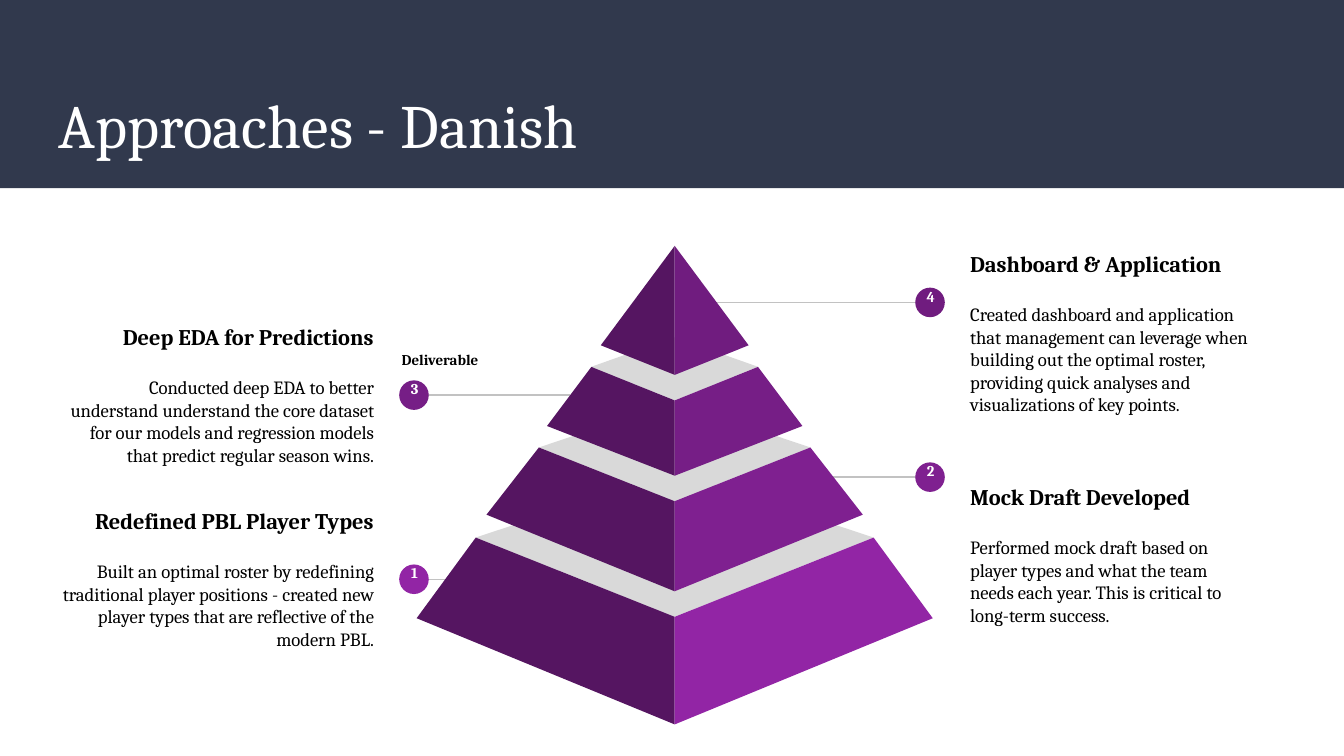
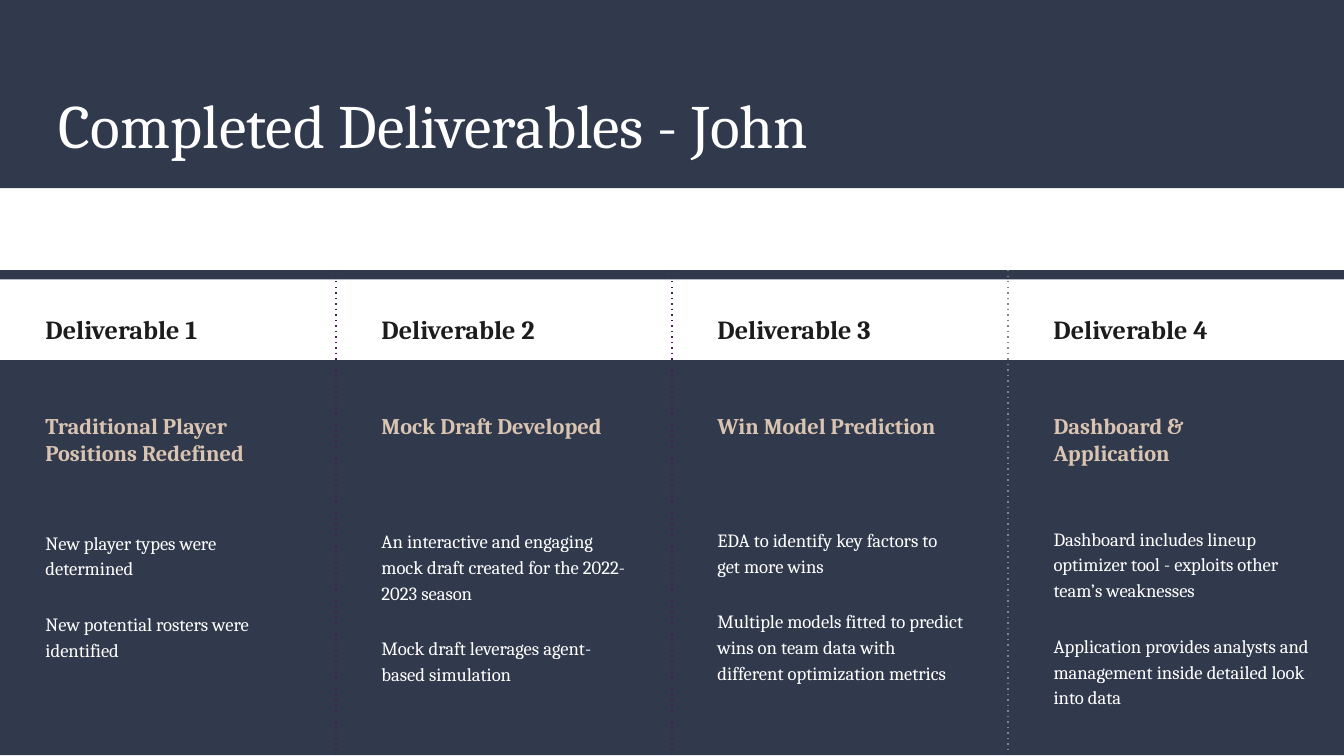
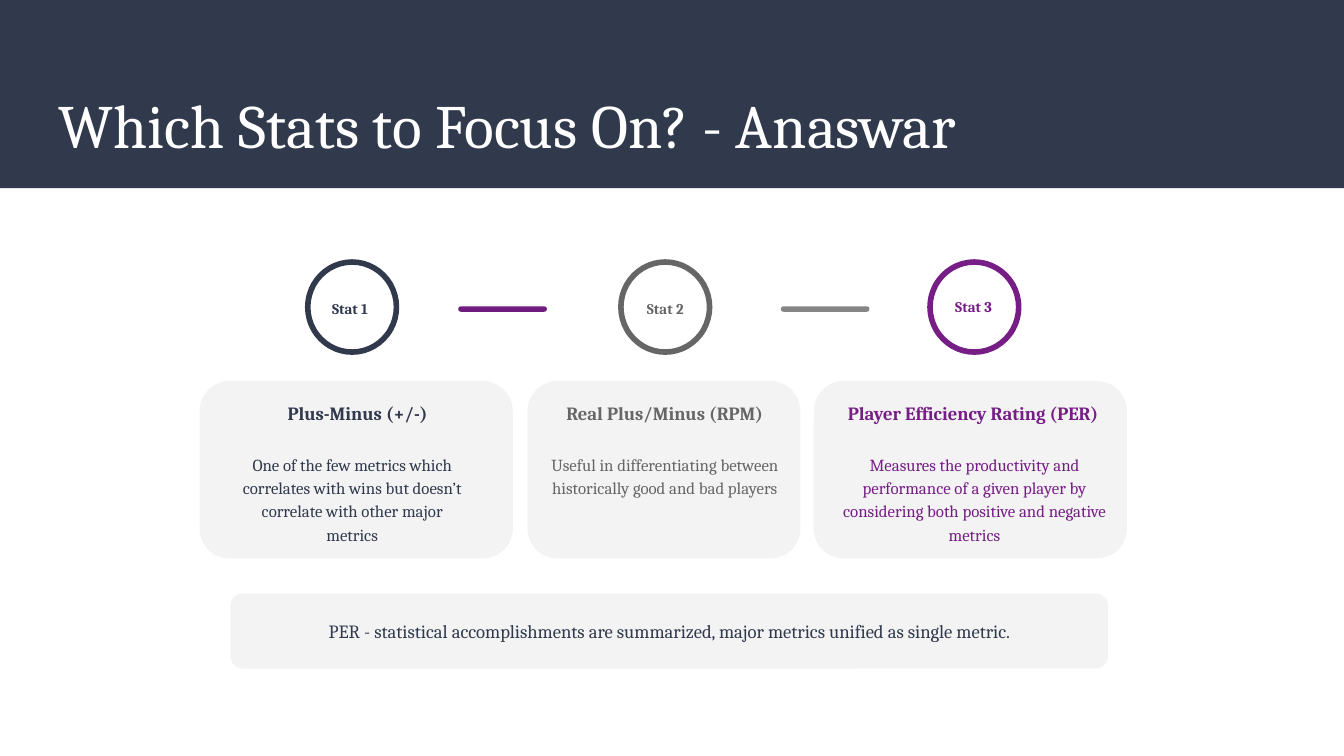
"""Build three basketball analytics slides: approaches, deliverables and key stats."""
from lxml import etree
from pptx import Presentation
from pptx import util as u
from pptx.dml import color as dml
from pptx.enum import shapes, text
from pptx.oxml import ns

PX = 9144
FONT = "Cambria"
COLORS = {
    "navy": "31394D", "white": "FFFFFF", "black": "000000", "ink": "1D1C1D",
    "sand": "D9C4B1", "card": "F3F3F3", "lid": "D9D9D9", "rule": "C2C2C2",
    "gray": "666666", "midgray": "858585", "shade": "551561",
    "tier1": "9225A5", "tier2": "7F2090", "tier3": "761E86", "tier4": "701C7F",
}
KINDS = shapes.MSO_SHAPE
LEFT, CENTER, RIGHT = text.PP_ALIGN.LEFT, text.PP_ALIGN.CENTER, text.PP_ALIGN.RIGHT


def draw(slide, kind, box, fill=None, line=None, width=0.75, dash=None):
    """Add a text box, line, outline or preset shape, measured in px."""
    if kind == "outline":
        builder = slide.shapes.build_freeform(*box[0], scale=PX)
        builder.add_line_segments(box[1:], close=True)
        shape = builder.convert_to_shape()
    else:
        lengths = [value * PX for value in box]
        if kind == "text":
            return slide.shapes.add_textbox(*lengths)
        if kind == "line":
            shape = slide.shapes.add_connector(shapes.MSO_CONNECTOR.STRAIGHT, *lengths)
        else:
            shape = slide.shapes.add_shape(kind, *lengths)
    if fill:
        shape.fill.solid()
        shape.fill.fore_color.rgb = dml.RGBColor.from_string(COLORS[fill])
    elif kind != "line":
        shape.fill.background()
    if line:
        shape.line.color.rgb = dml.RGBColor.from_string(COLORS[line])
        shape.line.width = u.Pt(width)
    else:
        shape.line.fill.background()
    properties = shape._element.spPr
    if dash:
        outline = properties.find(ns.qn("a:ln"))
        etree.SubElement(outline, ns.qn("a:prstDash"), val=dash)
    etree.SubElement(properties, ns.qn("a:effectLst"))
    return shape


def write(shape, lines, anchor="TOP"):
    """Fill a shape with lines of (words, size, bold, color, paragraph format)."""
    frame = shape.text_frame
    frame_format = {"word_wrap": True, "vertical_anchor": text.MSO_ANCHOR[anchor]}
    for side in ("left", "top", "right", "bottom"):
        frame_format[f"margin_{side}"] = 10 * PX
    for name, value in frame_format.items():
        setattr(frame, name, value)
    for index, (words, size, bold, color, layout) in enumerate(lines):
        paragraph = frame.add_paragraph() if index else frame.paragraphs[0]
        for name, value in layout.items():
            setattr(paragraph, name, value)
        run = paragraph.add_run()
        run.text = words
        for name, value in {"name": FONT, "size": u.Pt(size), "bold": bold}.items():
            setattr(run.font, name, value)
        run.font.color.rgb = dml.RGBColor.from_string(COLORS[color])


presentation = Presentation()
presentation.slide_width = 1000 * PX
presentation.slide_height = u.Emu(5143500)

slides = []
for title in ("Approaches - Danish", "Completed Deliverables - John",
              "Which Stats to Focus On? - Anaswar"):
    slide = presentation.slides.add_slide(presentation.slide_layouts[6])
    draw(slide, KINDS.RECTANGLE, (0, 0, 1000, 140), "navy")
    write(draw(slide, "text", (34, 55, 932, 68)),
          [(title, 33, False, "white", {"alignment": LEFT})])
    slides.append(slide)
approaches, deliverables, stats = slides

callouts = [
    (1, "Redefined PBL Player Types",
     "Built an optimal roster by redefining traditional player positions - created "
     "new player types that are reflective of the modern PBL.",
     (17, 373, 271, 115), RIGHT, 424, 431),
    (2, "Mock Draft Developed",
     "Performed mock draft based on player types and what the team needs each year. "
     "This is critical to long-term success.",
     (712, 355, 227, 115), LEFT, 617, 355),
    (3, "Deep EDA for Predictions",
     "Conducted deep EDA to better understand understand the core dataset for our "
     "models and regression models that predict regular season wins.",
     (37, 236, 251, 115), RIGHT, 424, 294),
    (4, "Dashboard & Application",
     "Created dashboard and application that management can leverage when building "
     "out the optimal roster, providing quick analyses and visualizations of key points.",
     (712, 190, 227, 115), LEFT, 531, 225),
]
for number, heading, body, box, side, pyramid_x, y in callouts:
    line_end, badge_x = (300, 297) if side == RIGHT else (700, 681)
    write(draw(approaches, "text", box), [
        (heading, 12, True, "black", {"alignment": side, "space_after": u.Pt(14)}),
        (body, 10, False, "black", {"alignment": side}),
    ], "MIDDLE")
    draw(approaches, "line", (pyramid_x, y, line_end, y), line="rule")
    draw(approaches, KINDS.OVAL, (badge_x, y - 11, 22, 22), f"tier{number}")
    write(draw(approaches, "text", (badge_x - 2, y - 18, 27, 34)),
          [(str(number), 8, True, "white", {"alignment": CENTER})])

axis = 502
tiers = [
    (148, 400, 351, 459, 192, 460, 539),
    (101, 333, 299, 373, 140, 383, 440),
    (62, 273, 251, 298, 95, 317, 354),
    (0, 183, 183, 183, 55, 257, 279),
]
for number, tier in enumerate(tiers, 1):
    half_top, shoulder, back, ridge, half_base, base, foot = tier
    if half_top:
        draw(approaches, "outline", [(axis - half_top, shoulder), (axis, ridge),
                                     (axis + half_top, shoulder), (axis, back)], "lid")
    for direction, color in ((-1, "shade"), (1, f"tier{number}")):
        face = [(axis + direction * half_base, base), (axis, foot), (axis, ridge)]
        if half_top:
            face.append((axis + direction * half_top, shoulder))
        draw(approaches, "outline", face, color)
write(draw(approaches, "text", (289, 254, 121, 34)),
      [("Deliverable", 8, True, "black", {"alignment": LEFT})])

columns = [
    (["Traditional Player Positions Redefined"], 203, 383, 203, "shade",
     ["New player types were determined", "New potential rosters were identified"]),
    (["Mock Draft Developed"], 240, 382, 203, "shade",
     ["An interactive and engaging mock draft created for the 2022-2023 season",
      "Mock draft leverages agent-based simulation"]),
    (["Win Model Prediction"], 203, 381, 203, "midgray",
     ["EDA to identify key factors to get more wins",
      "Multiple models fitted to predict wins on team data with different "
      "optimization metrics"]),
    (["Dashboard &", "Application"], 232, 380, 215, None,
     ["Dashboard includes lineup optimizer tool - exploits other team’s weaknesses",
      "Application provides analysts and management inside detailed look into data"]),
]
column_width = 250
for index, column in reversed(list(enumerate(columns))):
    headings, heading_width, body_top, body_width, divider, points = column
    x = index * column_width
    for top, height in ((268, 294), (201, 7)):
        draw(deliverables, KINDS.RECTANGLE, (x, top, column_width, height), "navy")
    write(draw(deliverables, "text", (x + 24, 220, 174, 33)),
          [(f"Deliverable {index + 1}", 14, True, "ink", {"line_spacing": 1.15})])
    write(draw(deliverables, "text", (x + 24, 297, heading_width, 101)),
          [(heading, 12, True, "sand", {}) for heading in headings])
    write(draw(deliverables, "text", (x + 24, body_top, body_width, 150)),
          [(point, 10, False, "white",
            {"line_spacing": 1.15, "space_before": u.Pt(16 * order)})
           for order, point in enumerate(points)])
    if divider:
        edge = x + column_width
        draw(deliverables, "line", (edge, 201, edge, 561), line=divider, dash="dot")

centered = {"alignment": CENTER, "line_spacing": 1.15}
metrics = [
    ("Plus-Minus (+/-)",
     "One of the few metrics which correlates with wins but doesn’t correlate with "
     "other major metrics",
     "navy", (149, 232), 229, (235, 213, 51), (149, 234), (165, 194)),
    ("Real Plus/Minus (RPM)",
     "Useful in differentiating between historically good and bad players",
     "gray", (393, 202), 462, (469, 213, 52), (400, 189), (400, 189)),
    ("Player Efficiency Rating (PER)",
     "Measures the productivity and performance of a given player by considering "
     "both positive and negative metrics",
     "tier3", (606, 232), 692, (696, 212, 57), (607, 234), (617, 216)),
]
for number, metric in enumerate(metrics, 1):
    name, body, color, card, circle_x, label, heading, detail = metric
    draw(stats, KINDS.ROUNDED_RECTANGLE, (card[0], 284, card[1], 131), "card", "card")
    draw(stats, KINDS.OVAL, (circle_x, 195, 66, 67), line=color, width=3)
    write(draw(stats, "text", (*label, 36)),
          [(f"Stat {number}", 8, True, color, centered)])
    write(draw(stats, "text", (heading[0], 275, heading[1], 50)),
          [(name, 10, True, color, centered)], "BOTTOM")
    write(draw(stats, "text", (detail[0], 326, detail[1], 83)),
          [(body, 9, False, color, centered)])
for x, color in ((341, "tier4"), (581, "midgray")):
    dash_bar = draw(stats, KINDS.ROUNDED_RECTANGLE, (x, 228, 66, 4), color)
    dash_bar.adjustments[0] = 0.5
note = draw(stats, KINDS.ROUNDED_RECTANGLE, (171, 441, 654, 57), "card", "white")
write(note, [("PER - statistical accomplishments are summarized, major metrics unified "
              "as single metric.", 10, False, "navy", {"alignment": CENTER})], "MIDDLE")

presentation.save("out.pptx")
